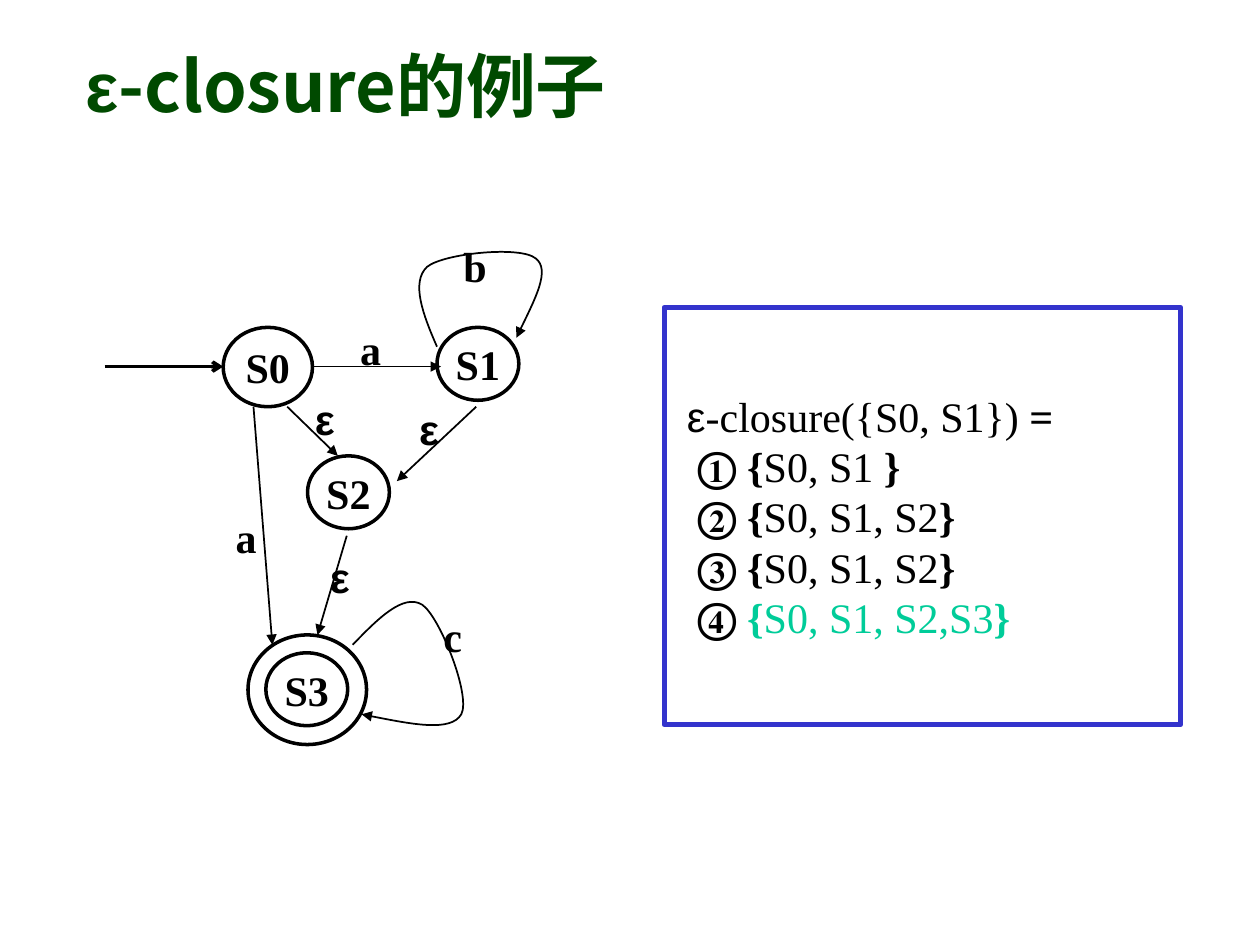
from pptx import Presentation
from pptx.dml.color import RGBColor
from pptx.enum.shapes import MSO_CONNECTOR, MSO_SHAPE
from pptx.enum.text import MSO_ANCHOR, PP_ALIGN
from pptx.oxml.ns import qn
from pptx.util import Cm, Pt
from lxml import etree

STRAIGHT = MSO_CONNECTOR.STRAIGHT
OVAL, RECT = MSO_SHAPE.OVAL, MSO_SHAPE.RECTANGLE
MIDDLE, CENTER = MSO_ANCHOR.MIDDLE, PP_ALIGN.CENTER
SERIF, SANS, CJK = "Times New Roman", "Arial", "Noto Sans CJK KR"
BLACK, GREEN, BLUE, TEAL = "000000", "004A00", "3333CC", "00CC99"

STATES = [("S0", 4.5, 6.6, 1.8, 1.6), ("S1", 8.81, 6.6, 1.65, 1.47),
          ("S2", 6.2, 9.19, 1.65, 1.47), ("S3", 5.36, 13.16, 1.65, 1.47),
          ("", 5, 12.8, 2.39, 2.21)]
EDGES = [(6.3, 7.39, 8.89, 7.39), (5.79, 8.2, 6.81, 9.19),
         (5.11, 8.2, 5.49, 13), (9.6, 8.2, 8, 9.7), (6.99, 10.8, 6.4, 12.8)]
LOOPS = [
    [(8.81, 6.99), (8.53, 6.35), (8.28, 5.69), (8.61, 5.38), (8.94, 5.11),
     (10.49, 4.95), (10.8, 5.21), (11.1, 5.44), (10.74, 6.12), (10.41, 6.81)],
    [(7.11, 13), (7.62, 12.47), (8.13, 11.96), (8.51, 12.19), (8.86, 12.42),
     (9.5, 14.02), (9.3, 14.4), (9.09, 14.76), (8.2, 14.58), (7.29, 14.4)],
]
LABELS = [("a", 7.01, 6.4), ("ε", 6.1, 7.8), ("a", 4.5, 10.19),
          ("ε", 8.2, 8), ("ε", 6.4, 11), ("b", 9.09, 4.72), ("c", 8.69, 12.19)]
STEPS = [("①", "S0, S1", " }", BLACK), ("②", "S0, S1, S2", "}", BLACK),
         ("③", "S0, S1, S2", "}", BLACK), ("④", "S0, S1, S2,S3", "}", TEAL)]


def rgb(value):
    """Turn a hex string into a colour."""
    return RGBColor.from_string(value)


def add_run(p, text, font=SERIF, size=24, color=BLACK, bold=True):
    """Append a formatted run to a paragraph."""
    r = p.add_run()
    r.text = text
    r.font.name, r.font.size, r.font.bold = font, Pt(size), bold
    r.font.color.rgb = rgb(color)
    if font == CJK:
        etree.SubElement(r.font._element, qn("a:ea"), typeface=font)


def add_text(s, x, y, w, h):
    """Add an empty wrapping text box and return its text frame."""
    tf = s.shapes.add_textbox(Cm(x), Cm(y), Cm(w), Cm(h)).text_frame
    tf.word_wrap = True
    return tf


def set_line(sp, color, width, arrow=None):
    """Style a line and give its end an optional arrowhead."""
    sp.line.color.rgb = rgb(color)
    sp.line.width = Pt(width)
    if arrow:
        ln = sp._element.spPr.find(qn("a:ln"))
        etree.SubElement(ln, qn("a:tailEnd"), type=arrow)


def add_outline(s, kind, x, y, w, h, color, width):
    """Add an unfilled preset shape and return it."""
    sp = s.shapes.add_shape(kind, Cm(x), Cm(y), Cm(w), Cm(h))
    sp.shadow.inherit = False
    sp.fill.background()
    set_line(sp, color, width)
    return sp


def add_state(s, name, x, y, w, h):
    """Add an automaton state with its centred name."""
    sp = add_outline(s, OVAL, x, y, w, h, BLACK, 2)
    if name:
        tf = sp.text_frame
        tf.word_wrap, tf.vertical_anchor = False, MIDDLE
        p = tf.paragraphs[0]
        p.alignment = CENTER
        add_run(p, name)


def add_arrow(s, x1, y1, x2, y2, width=1, arrow="triangle"):
    """Add a straight transition arrow."""
    sp = s.shapes.add_connector(STRAIGHT, Cm(x1), Cm(y1), Cm(x2), Cm(y2))
    set_line(sp, BLACK, width, arrow)
    etree.SubElement(sp._element.spPr, qn("a:effectLst"))


def add_loop(s, points):
    """Add a curved arrow through a start point and Bézier triples."""
    start, *rest = [(Cm(x), Cm(y)) for x, y in points]
    fb = s.shapes.build_freeform(*start)
    fb.add_line_segments(rest, close=False)
    sp = fb.convert_to_shape()
    sp.shadow.inherit = False
    sp.fill.background()
    set_line(sp, BLACK, 1, "triangle")
    outline = sp._element.spPr.find(".//" + qn("a:path"))
    segments = outline.findall(qn("a:lnTo"))
    for i in range(0, len(segments), 3):
        curve = etree.SubElement(outline, qn("a:cubicBezTo"))
        for segment in segments[i:i + 3]:
            curve.append(segment[0])
            outline.remove(segment)


def add_label(s, text, x, y):
    """Add the symbol of a transition."""
    tf = add_text(s, x, y, 1.19, 1.27)
    add_run(tf.paragraphs[0], text, SANS if text == "ε" else SERIF)


def add_result(s):
    """Add the framed computation of the closure."""
    tf = add_outline(s, RECT, 13.39, 6.2, 10.41, 8.41, BLUE, 3).text_frame
    tf.word_wrap, tf.vertical_anchor = True, MIDDLE
    p = tf.paragraphs[0]
    add_run(p, "ε", SANS, bold=False)
    add_run(p, "-closure({S0, S1})", bold=False)
    add_run(p, " =")
    for number, members, closing, color in STEPS:
        p = tf.add_paragraph()
        add_run(p, number + " ")
        add_run(p, "{", color=color)
        add_run(p, members, color=color, bold=False)
        add_run(p, closing, color=color)
    for i, p in enumerate(tf.paragraphs):
        p.alignment = PP_ALIGN.LEFT
        p._p.get_or_add_pPr().set("marL", str(Cm(0.42 if i else 0.21)))


def main():
    """Build the slide and save it."""
    prs = Presentation()
    prs.slide_width, prs.slide_height = Cm(25.4), Cm(19.05)
    s = prs.slides.add_slide(prs.slide_layouts[6])
    tf = add_text(s, 1.47, 0.43, 21.56, 2.54)
    tf.vertical_anchor = MIDDLE
    add_run(tf.paragraphs[0], "ε", SANS, 40, GREEN)
    add_run(tf.paragraphs[0], "-closure的例子", CJK, 40, GREEN)
    add_arrow(s, 2.11, 7.39, 4.5, 7.39, 2, "arrow")
    for state in STATES:
        add_state(s, *state)
    for edge in EDGES:
        add_arrow(s, *edge)
    for loop in LOOPS:
        add_loop(s, loop)
    for label in LABELS:
        add_label(s, *label)
    add_result(s)
    prs.save("out.pptx")


if __name__ == "__main__":
    main()
